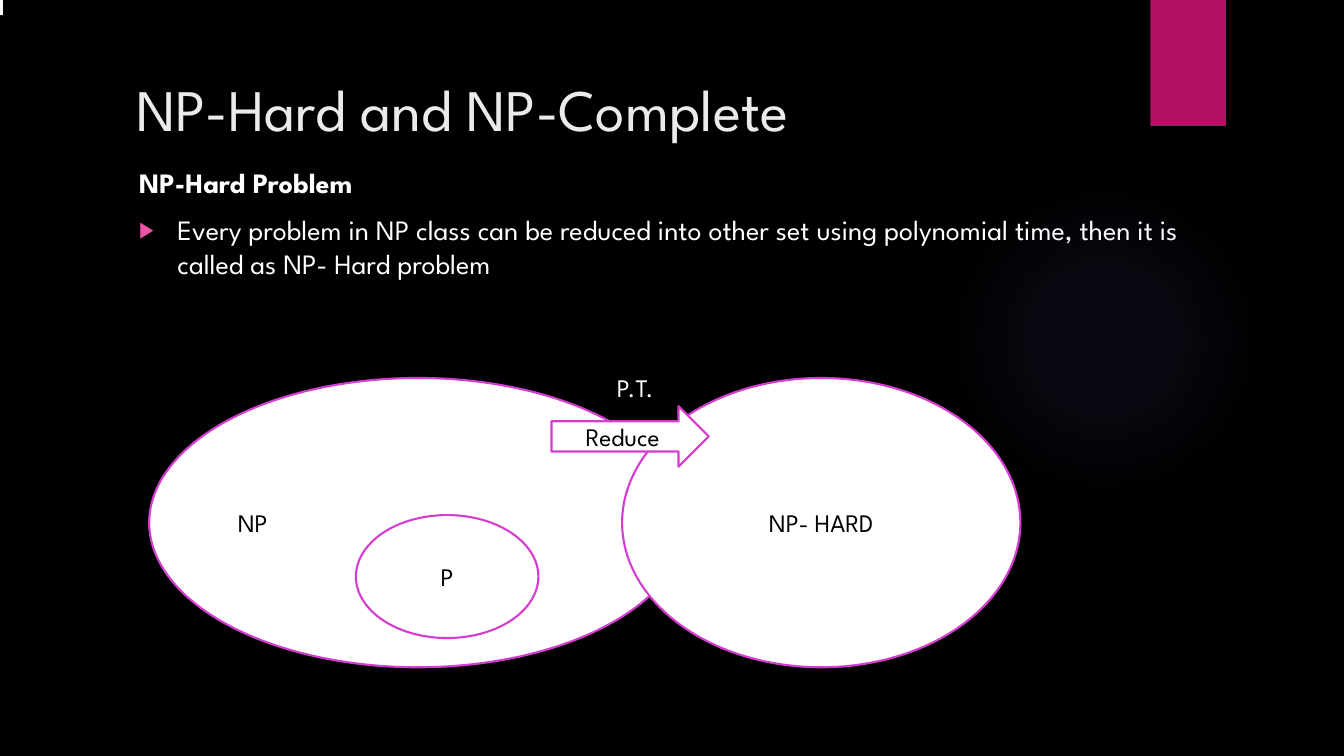
from lxml import etree
from pptx import Presentation
from pptx import util as u
from pptx.dml import color
from pptx.enum import shapes, text
from pptx.oxml import ns

FONT = "League Spartan"
WHITE = "FFFFFF"
BLACK = "000000"
OUTLINE = "D53DD0"
LEFT = text.PP_ALIGN.LEFT
CENTER = text.PP_ALIGN.CENTER
OVAL = shapes.MSO_SHAPE.OVAL
RECTANGLE = shapes.MSO_SHAPE.RECTANGLE


def rgb(value):
    return color.RGBColor.from_string(value)


def place(shape, box):
    shape.left, shape.top, shape.width, shape.height = map(u.Inches, box)


def add_child(parent, tag, **attributes):
    return etree.SubElement(parent, ns.qn(tag), attributes)


def format_paragraph(paragraph, size, fill, bold=False, align=LEFT):
    paragraph.alignment = align
    for run in paragraph.runs:
        run.font.name = FONT
        run.font.size = u.Pt(size)
        run.font.bold = bold
        run.font.color.rgb = rgb(fill)


def add_figure(slide, kind, box, fill, label="", align=CENTER, line=None):
    shape = slide.shapes.add_shape(kind, *map(u.Inches, box))
    shape.shadow.inherit = False
    shape.fill.solid()
    shape.fill.fore_color.rgb = rgb(fill)
    if line:
        shape.line.color.rgb = rgb(line)
        shape.line.width = u.Pt(1.5)
    else:
        shape.line.fill.background()
    if label:
        frame = shape.text_frame
        frame.text = label
        frame.vertical_anchor = text.MSO_ANCHOR.MIDDLE
        format_paragraph(frame.paragraphs[0], 18, BLACK, align=align)
    return shape


def add_glow(slide, box):
    glow = add_figure(slide, OVAL, box, BLACK)
    glow.fill.gradient()
    gradient = glow.fill._xPr.find(ns.qn("a:gradFill"))
    for child in list(gradient):
        gradient.remove(child)
    stops = add_child(gradient, "a:gsLst")
    for position, opacity in ((0, 7), (36, 6), (69, 0)):
        stop = add_child(stops, "a:gs", pos=str(position * 1000))
        tint = add_child(stop, "a:srgbClr", val="9B6BF2")
        add_child(tint, "a:alpha", val=str(opacity * 1000))
    circle = add_child(gradient, "a:path", path="circle")
    add_child(circle, "a:fillToRect", l="50000", t="50000", r="50000", b="50000")


def add_backdrop(slide):
    slide.background.fill.solid()
    slide.background.fill.fore_color.rgb = rgb(BLACK)
    add_glow(slide, (9.41, 1.83, 3.08, 3.08))
    add_figure(slide, RECTANGLE, (11.41, 0, 0.75, 1.25), "B31166")
    add_figure(slide, RECTANGLE, (0, 0, 0.03, 0.15), "F9FAFC")


def fill_title(slide, box):
    title = slide.shapes.title
    place(title, box)
    frame = title.text_frame
    frame.text = "NP-Hard and NP-Complete"
    frame.auto_size = text.MSO_AUTO_SIZE.NONE
    frame.vertical_anchor = text.MSO_ANCHOR.MIDDLE
    format_paragraph(frame.paragraphs[0], 42, "EBEBEB")


def fill_body(slide, box):
    body = slide.placeholders[1]
    place(body, box)
    frame = body.text_frame
    frame.auto_size = text.MSO_AUTO_SIZE.NONE
    frame.text = "NP-Hard Problem"
    heading = frame.paragraphs[0]
    definition = frame.add_paragraph()
    definition.text = (
        "Every problem in NP class can be reduced into other set using "
        "polynomial time, then it is called as NP- Hard problem"
    )
    for paragraph, indent in ((heading, 0), (definition, u.Inches(0.38))):
        format_paragraph(paragraph, 20, WHITE, bold=paragraph is heading)
        paragraph.space_before = u.Pt(10)
        properties = paragraph._p.get_or_add_pPr()
        properties.set("marL", str(indent))
        properties.set("indent", str(-indent))
    add_child(heading._p.pPr, "a:buNone")
    bullet = definition._p.pPr
    add_child(add_child(bullet, "a:buClr"), "a:srgbClr", val="EF53A5")
    add_child(bullet, "a:buSzPct", val="80000")
    add_child(bullet, "a:buFont", typeface="Arial")
    add_child(bullet, "a:buChar", char="▶")


def add_reduction_diagram(slide, box):
    left, top, width, height = box
    hard_width = 3.95
    figures = (
        (OVAL, (0, 0, 5.33, height), "NP", LEFT),
        (OVAL, (2.05, 1.36, 1.81, 1.22), "P", CENTER),
        (OVAL, (width - hard_width, 0, hard_width, height), "NP- HARD", CENTER),
        (shapes.MSO_SHAPE.RIGHT_ARROW, (3.99, 0.28, 1.56, 0.6), "Reduce", CENTER),
    )
    for kind, (x, y, w, h), label, align in figures:
        add_figure(slide, kind, (left + x, top + y, w, h), WHITE, label, align, OUTLINE)
    caption_box = (left + 4.54, top - 0.11, 0.65, 0.4)
    caption = slide.shapes.add_textbox(*map(u.Inches, caption_box))
    frame = caption.text_frame
    frame.text = "P.T."
    frame.word_wrap = False
    format_paragraph(frame.paragraphs[0], 18, WHITE)


def main():
    presentation = Presentation()
    presentation.slide_width = u.Inches(13.33)
    presentation.slide_height = u.Inches(7.5)
    slide = presentation.slides.add_slide(presentation.slide_layouts[1])
    add_backdrop(slide)
    fill_title(slide, (1.25, 0.68, 10.83, 0.78))
    fill_body(slide, (1.28, 1.59, 10.83, 5.25))
    add_reduction_diagram(slide, (1.48, 3.75, 8.64, 2.87))
    presentation.save("out.pptx")


if __name__ == "__main__":
    main()
